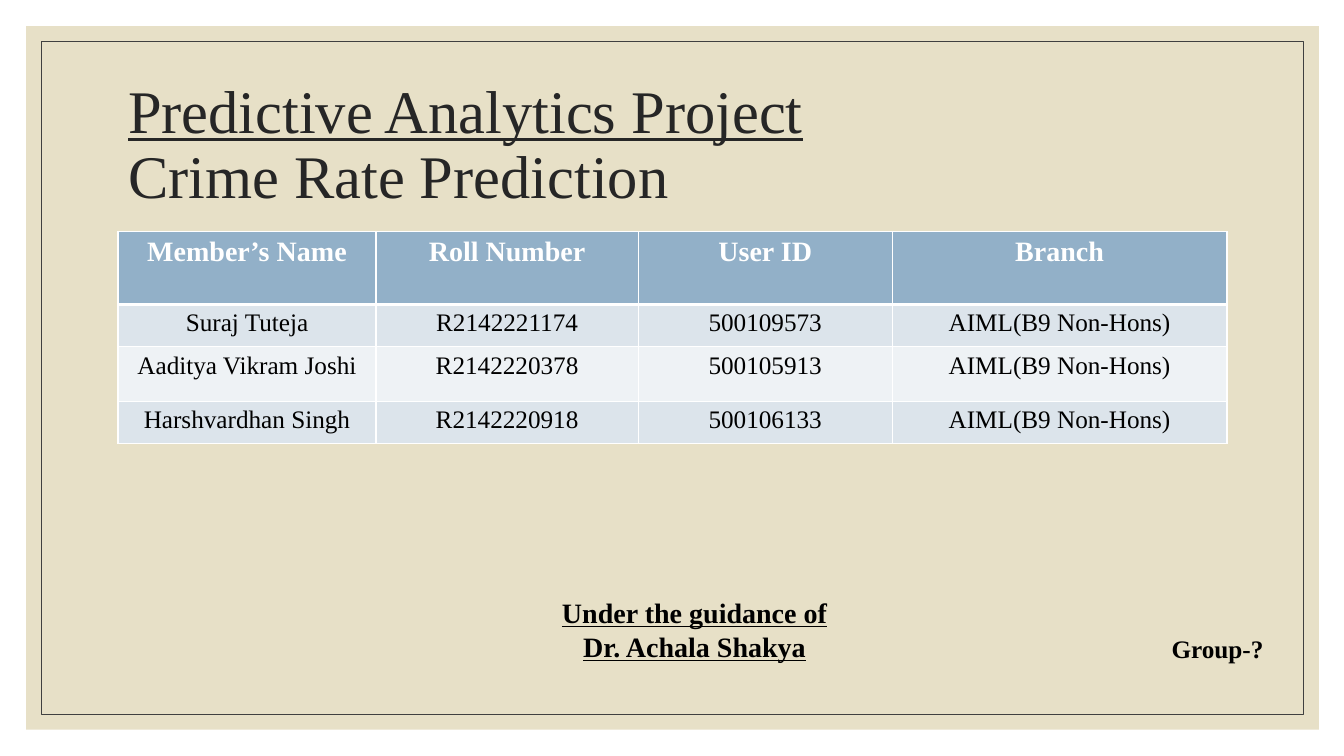
from lxml import etree
from pptx import Presentation
from pptx import util as u
from pptx.dml.color import RGBColor
from pptx.enum import shapes, text
from pptx.oxml import ns

Inches, Pt = u.Inches, u.Pt
COLORS = {"sand": "E7E0C7", "frame": "404040", "title": "262626",
          "ink": "000000", "white": "FFFFFF",
          "head": "92B0C8", "odd": "DCE4EB", "even": "EEF2F5"}
FONT = "Times New Roman"
CENTER = text.PP_ALIGN.CENTER
WIDTHS = [2.56, 2.6, 2.52, 3.32]
HEIGHTS = [0.72, 0.42, 0.54, 0.42]
BRANCH = "AIML(B9 Non-Hons)"
ROWS = [
    ("Member’s Name", "Roll Number", "User ID", "Branch"),
    ("Suraj Tuteja", "R2142221174", "500109573", BRANCH),
    ("Aaditya Vikram Joshi", "R2142220378", "500105913", BRANCH),
    ("Harshvardhan Singh", "R2142220918", "500106133", BRANCH),
]


def color(name):
    return RGBColor.from_string(COLORS[name])


def style(run, ink, **form):
    run.font.name = FONT
    run.font.color.rgb = color(ink)
    for key, value in form.items():
        setattr(run.font, key, value)


def place(shape, *box):
    for key, value in zip(("left", "top", "width", "height"), box):
        setattr(shape, key, Inches(value))


def add_rect(slide, box, fill=None, line=None):
    rect = slide.shapes.add_shape(shapes.MSO_SHAPE.RECTANGLE, *map(Inches, box))
    rect.shadow.inherit = False
    if fill:
        rect.fill.solid()
        rect.fill.fore_color.rgb = color(fill)
    else:
        rect.fill.background()
    if line:
        rect.line.color.rgb = color(line)
        rect.line.width = Pt(0.5)
    else:
        rect.line.fill.background()


def set_title(slide):
    title = slide.shapes.title
    place(title, 1.17, 0.7, 11, 1.5)
    frame = title.text_frame
    frame.auto_size = text.MSO_AUTO_SIZE.NONE
    frame.vertical_anchor = text.MSO_ANCHOR.MIDDLE
    para = frame.paragraphs[0]
    para.alignment = text.PP_ALIGN.LEFT
    para.line_spacing = 0.9
    para.text = "Predictive Analytics Project\vCrime Rate Prediction"
    for run, line in zip(para.runs, (True, False)):
        style(run, "title", size=Pt(43.2), underline=line)


def add_edges(cell, below):
    """Draw white cell borders; below is the bottom width in points."""
    props = cell._tc.get_or_add_tcPr()
    for spot, side in enumerate("LRTB"):
        width = Pt(below if side == "B" else 1)
        edge = etree.Element(ns.qn("a:ln" + side), w=str(width))
        fill = etree.SubElement(edge, ns.qn("a:solidFill"))
        etree.SubElement(fill, ns.qn("a:srgbClr"), val=COLORS["white"])
        props.insert(spot, edge)


def add_members(slide):
    box = map(Inches, (1.17, 2.3, sum(WIDTHS), sum(HEIGHTS)))
    table = slide.shapes.add_table(len(ROWS), len(WIDTHS), *box).table
    for col, width in zip(table.columns, WIDTHS):
        col.width = Inches(width)
    for i, (row, height) in enumerate(zip(table.rows, HEIGHTS)):
        row.height = Inches(height)
        head = i == 0
        back = "head" if head else "odd" if i % 2 else "even"
        for cell, words in zip(row.cells, ROWS[i]):
            cell.fill.solid()
            cell.fill.fore_color.rgb = color(back)
            add_edges(cell, 3 if i == 0 else 1)
            # The thick rule under the header is shared with the row below.
            if i == 1:
                cell._tc.tcPr.find(ns.qn("a:lnT")).set("w", str(Pt(3)))
            para = cell.text_frame.paragraphs[0]
            para.alignment = CENTER
            para.text = words
            style(para.runs[0], "white" if head else "ink",
                  size=Pt(20 if head else 18), bold=head)


def add_note(slide, box, lines, align, wrap, **form):
    frame = slide.shapes.add_textbox(*map(Inches, box)).text_frame
    frame.word_wrap = wrap
    frame.auto_size = text.MSO_AUTO_SIZE.SHAPE_TO_FIT_TEXT
    frame.text = "\n".join(lines)
    for para in frame.paragraphs:
        para.alignment = align
        style(para.runs[0], "ink", bold=True, **form)


def main():
    deck = Presentation()
    deck.slide_width, deck.slide_height = Inches(13.33), Inches(7.5)
    slide = deck.slides.add_slide(deck.slide_layouts[5])
    add_rect(slide, (0.26, 0.26, 12.82, 6.98), fill="sand")
    add_rect(slide, (0.41, 0.41, 12.52, 6.68), line="frame")
    set_title(slide)
    title = slide.shapes.title._element
    title.getparent().append(title)  # bring the title in front of the panels
    add_members(slide)
    add_note(slide, (4.61, 5.86, 4.56, 0.77),
             ["Under the guidance of", "Dr. Achala Shakya"],
             CENTER, True, size=Pt(20), underline=True)
    add_note(slide, (11.51, 6.23, 1.12, 0.4), ["Group-?"],
             text.PP_ALIGN.RIGHT, False, size=Pt(18))
    deck.save("out.pptx")


if __name__ == "__main__":
    main()
